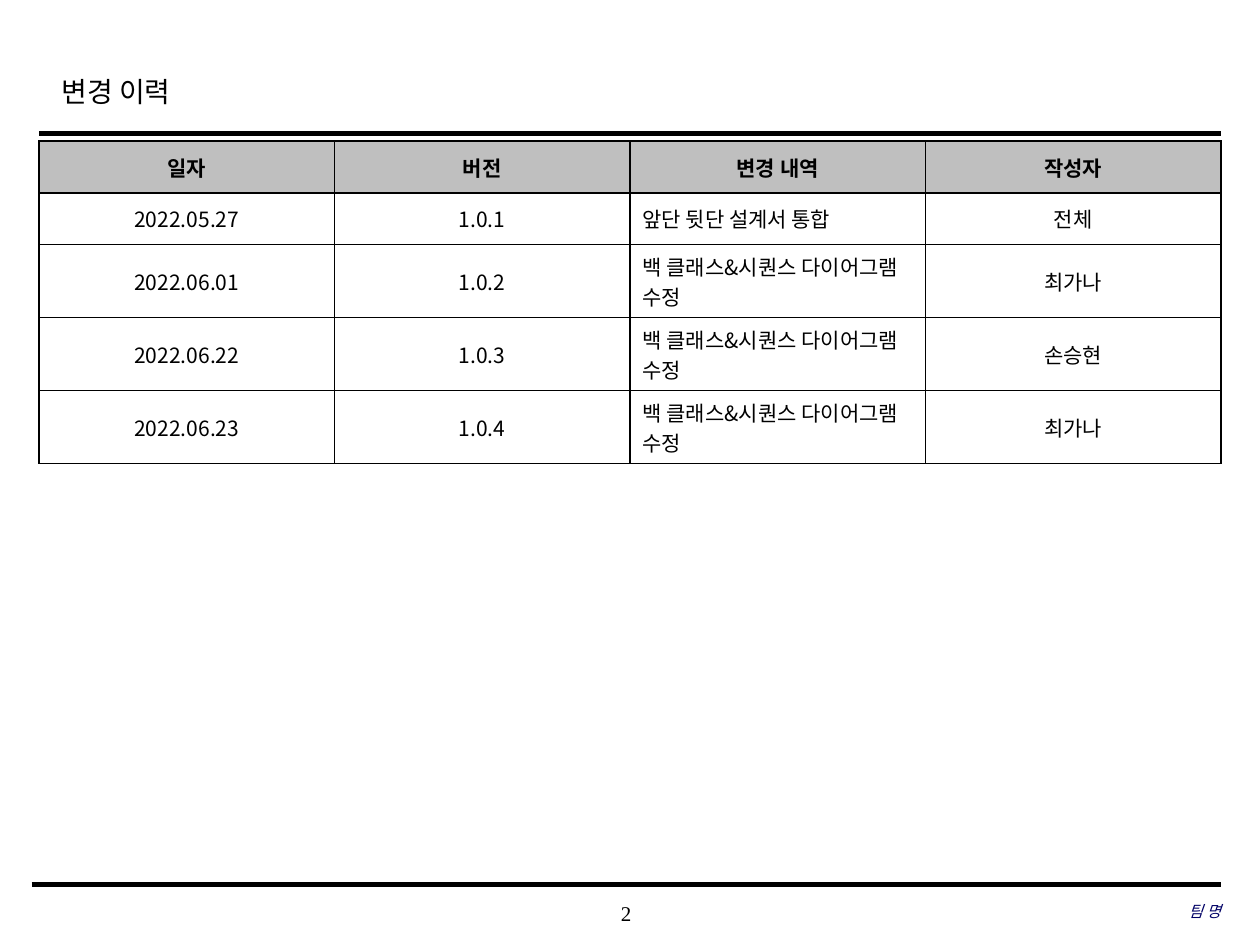
from dataclasses import dataclass

from lxml import etree
from pptx import Presentation
from pptx import util as u
from pptx.dml.color import RGBColor
from pptx.enum import shapes, text
from pptx.oxml import ns


@dataclass(frozen=True)
class Theme:
    ink: str = "000000"
    team: str = "000066"
    header: str = "BFBFBF"
    paper: str = "FFFFFF"
    serif: str = "Times New Roman"
    sans: str = "Noto Sans CJK KR"
    title_size: int = 16
    body_size: int = 12
    team_size: int = 9
    border: int = 1


THEME = Theme()
WIDTH, HEIGHT = 10, 7.5
LEFT, RIGHT = 0.31, 9.69
ONE_LINE, TWO_LINES = 0.41, 0.58
ALIGN = text.PP_ALIGN
DIAGRAM_EDIT = "백 클래스&시퀀스 다이어그램 수정"
HISTORY = [
    ("일자", "버전", "변경 내역", "작성자"),
    ("2022.05.27", "1.0.1", "앞단 뒷단 설계서 통합", "전체"),
    ("2022.06.01", "1.0.2", DIAGRAM_EDIT, "최가나"),
    ("2022.06.22", "1.0.3", DIAGRAM_EDIT, "손승현"),
    ("2022.06.23", "1.0.4", DIAGRAM_EDIT, "최가나"),
]
CHANGE_COLUMN = 2


def style(paragraph, size, face, color=THEME.ink, align=ALIGN.LEFT, bold=False, italic=False):
    paragraph.alignment = align
    font = paragraph.font
    font.size, font.name = u.Pt(size), face
    font.bold, font.italic = bold, italic
    font.color.rgb = RGBColor.from_string(color)


def add_label(slide, box, wording, size, color=THEME.ink, align=ALIGN.LEFT, italic=False):
    frame = slide.shapes.add_textbox(*map(u.Inches, box)).text_frame
    frame.word_wrap = True
    paragraph = frame.paragraphs[0]
    paragraph.text = wording
    style(paragraph, size, THEME.serif, color, align, italic=italic)
    return frame


def add_footer(slide, box, wording, size, **look):
    frame = add_label(slide, box, wording, size, **look)
    frame.margin_left = frame.margin_right = frame.margin_top = frame.margin_bottom = 0
    frame.vertical_anchor = text.MSO_ANCHOR.MIDDLE


def add_rule(slide, left, top, weight):
    rule = slide.shapes.add_connector(
        shapes.MSO_CONNECTOR.STRAIGHT,
        u.Inches(left), u.Inches(top), u.Inches(RIGHT), u.Inches(top))
    rule.line.width = u.Pt(weight)
    rule.line.color.rgb = RGBColor.from_string(THEME.ink)
    etree.SubElement(rule._element.spPr, ns.qn("a:effectLst"))


def add_borders(cell):
    properties = cell._tc.get_or_add_tcPr()
    for side in ("lnL", "lnR", "lnT", "lnB"):
        edge = etree.SubElement(properties, ns.qn(f"a:{side}"), w=str(u.Pt(THEME.border)))
        fill = etree.SubElement(edge, ns.qn("a:solidFill"))
        etree.SubElement(fill, ns.qn("a:srgbClr"), val=THEME.ink)


def fill_cell(cell, wording, is_header, align):
    add_borders(cell)
    cell.fill.solid()
    cell.fill.fore_color.rgb = RGBColor.from_string(THEME.header if is_header else THEME.paper)
    cell.vertical_anchor = text.MSO_ANCHOR.MIDDLE
    paragraph = cell.text_frame.paragraphs[0]
    paragraph.text = wording
    style(paragraph, THEME.body_size, THEME.sans, align=align, bold=is_header)


def add_history(slide, top):
    heights = [TWO_LINES if DIAGRAM_EDIT in entry else ONE_LINE for entry in HISTORY]
    table = slide.shapes.add_table(
        len(HISTORY), len(HISTORY[0]), u.Inches(LEFT), u.Inches(top),
        u.Inches(RIGHT - LEFT), u.Inches(sum(heights))).table
    for row, (entry, height) in enumerate(zip(HISTORY, heights)):
        table.rows[row].height = u.Inches(height)
        for column, wording in enumerate(entry):
            is_header = row == 0
            is_change = column == CHANGE_COLUMN and not is_header
            align = ALIGN.LEFT if is_change else ALIGN.CENTER
            fill_cell(table.cell(row, column), wording, is_header, align)


def main():
    deck = Presentation()
    deck.slide_width, deck.slide_height = u.Inches(WIDTH), u.Inches(HEIGHT)
    slide = deck.slides.add_slide(deck.slide_layouts[6])

    add_footer(slide, (3.93, 7.08, 2.08, 0.33), "2", THEME.body_size, align=ALIGN.CENTER)
    add_rule(slide, LEFT, 1.06, 2.5)
    add_rule(slide, 0.25, 7.02, 3)
    title = add_label(slide, (0.39, 0.49, 7.55, 0.5), "변경 이력", THEME.title_size)
    title.paragraphs[0].line_spacing = 1.2
    add_footer(slide, (6.63, 7.07, 3.06, 0.33), "팀 명", THEME.team_size,
               color=THEME.team, align=ALIGN.RIGHT, italic=True)
    add_history(slide, 1.12)

    deck.save("out.pptx")


if __name__ == "__main__":
    main()
